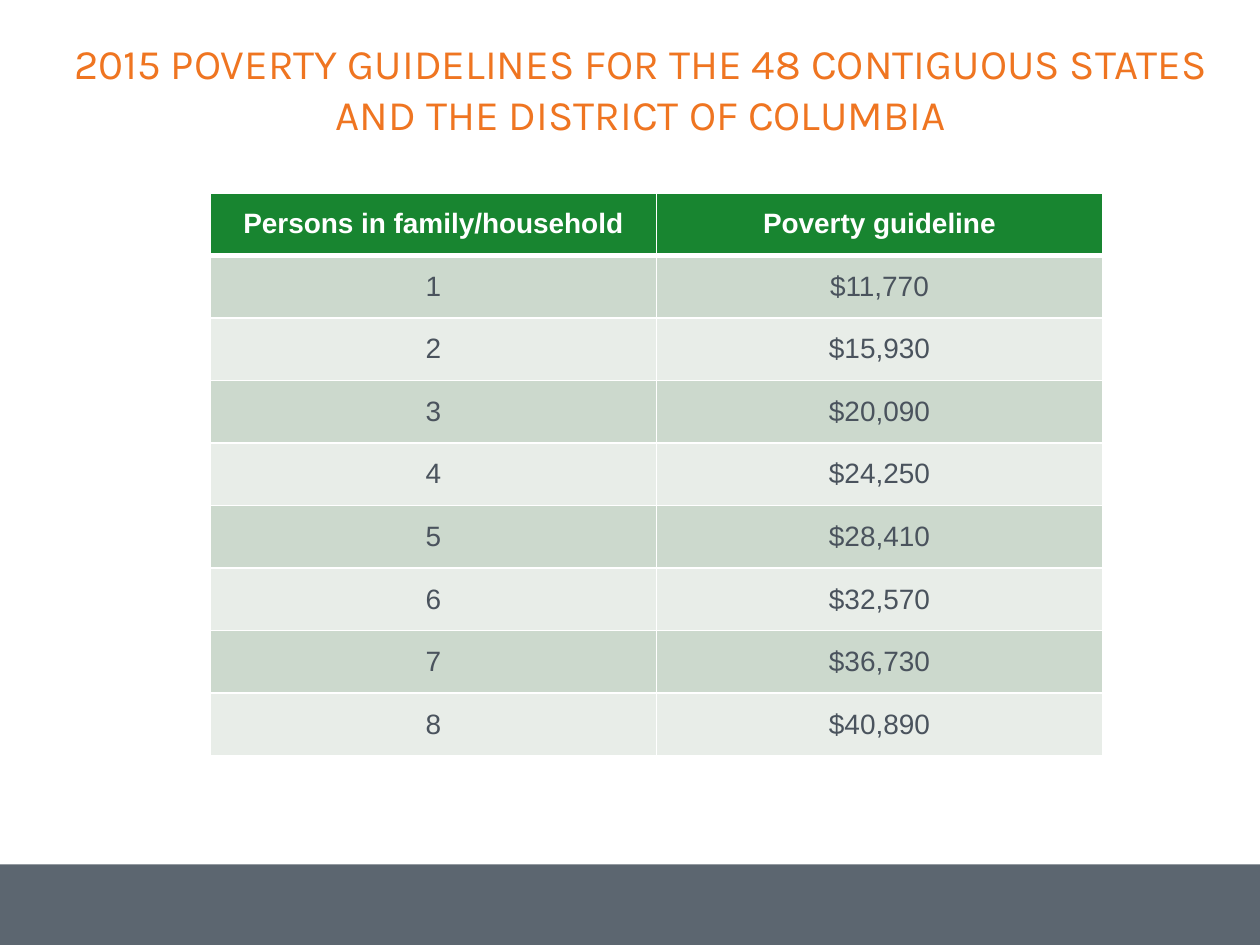
"""Build a slide with a table of the 2015 poverty guidelines."""
from lxml import etree
from pptx import Presentation
from pptx.dml.color import RGBColor
from pptx.enum.shapes import MSO_SHAPE
from pptx.enum.text import MSO_ANCHOR, PP_ALIGN
from pptx.oxml.ns import qn
from pptx.util import Inches, Pt

RECT = MSO_SHAPE.RECTANGLE
MIDDLE = MSO_ANCHOR.MIDDLE
CENTER = PP_ALIGN.CENTER

TITLE = [
    "2015 POVERTY GUIDELINES FOR THE 48 CONTIGUOUS STATES",
    "AND THE DISTRICT OF COLUMBIA",
]
HEAD = ("Persons in family/household", "Poverty guideline")
LIMITS = ["$11,770", "$15,930", "$20,090", "$24,250",
          "$28,410", "$32,570", "$36,730", "$40,890"]
ROWS = [HEAD] + [(str(n), sum_) for n, sum_ in enumerate(LIMITS, 1)]

HUES = {"title": "EF7521", "head": "188530", "dark": "CCD9CD",
        "light": "E8EDE8", "text": "4A535D", "white": "FFFFFF",
        "band": "5C6670"}
WIDE, HIGH = 10, 7.5
GRID = (1.67, 1.53, 7.08, 4.47)
PAD = Inches(0.02)


def hue(name):
    return RGBColor.from_string(HUES[name])


def write(frame, lines, size, font, color, bold=False):
    frame.word_wrap = True
    for i, line in enumerate(lines):
        para = frame.add_paragraph() if i else frame.paragraphs[0]
        para.alignment = CENTER
        run = para.add_run()
        run.text = line
        run.font.size = Pt(size)
        run.font.name = font
        run.font.bold = bold
        run.font.color.rgb = hue(color)


def edge(cell, side, width):
    props = cell._tc.get_or_add_tcPr()
    line = etree.SubElement(props, qn("a:ln" + side), w=str(Pt(width)))
    fill = etree.SubElement(line, qn("a:solidFill"))
    etree.SubElement(fill, qn("a:srgbClr"), val=HUES["white"])


def draw_band(slide):
    top = 6.86
    band = slide.shapes.add_shape(
        RECT, 0, Inches(top), Inches(WIDE), Inches(HIGH - top))
    band.shadow.inherit = False
    band.fill.solid()
    band.fill.fore_color.rgb = hue("band")
    band.line.fill.background()


def draw_table(slide):
    table = slide.shapes.add_table(
        len(ROWS), len(HEAD), *map(Inches, GRID)).table
    for r, row in enumerate(ROWS):
        top = r == 0
        shade = "head" if top else "dark" if r % 2 else "light"
        for c, text in enumerate(row):
            cell = table.cell(r, c)
            cell.vertical_anchor = MIDDLE
            cell.margin_left = cell.margin_right = PAD
            cell.margin_top = cell.margin_bottom = PAD
            for side in "LRTB":
                thick = (r, side) in ((0, "B"), (1, "T"))
                edge(cell, side, 3 if thick else 1)
            cell.fill.solid()
            cell.fill.fore_color.rgb = hue(shade)
            write(cell.text_frame, [text], size=16, font="Arial",
                  color="white" if top else "text", bold=top)


def main():
    deck = Presentation()
    deck.slide_width, deck.slide_height = Inches(WIDE), Inches(HIGH)
    slide = deck.slides.add_slide(deck.slide_layouts[6])
    draw_band(slide)
    draw_table(slide)
    box = slide.shapes.add_textbox(
        Inches(0.17), Inches(0.25), Inches(9.83), Inches(0.91))
    write(box.text_frame, TITLE, size=24, font="Karla", color="title")
    deck.save("out.pptx")


if __name__ == "__main__":
    main()
